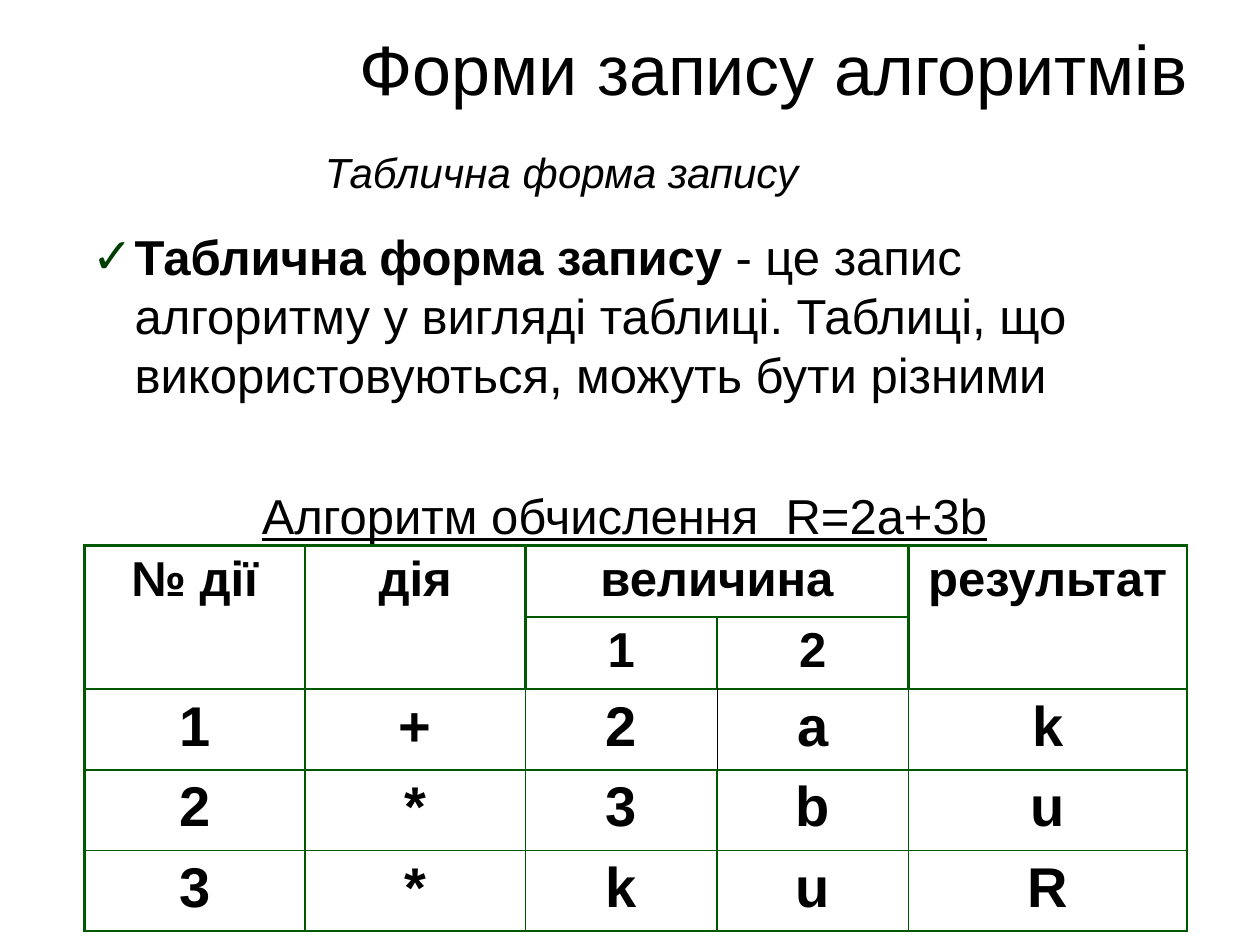
from dataclasses import dataclass

from lxml.etree import SubElement
from pptx import Presentation
from pptx.dml.color import RGBColor
from pptx.enum.text import MSO_ANCHOR, PP_ALIGN
from pptx.oxml.ns import qn
from pptx.util import Inches, Pt


@dataclass(frozen=True)
class Theme:
    """Colours, font and type sizes of the slide."""
    font: str = "Arial"
    ink: str = "000000"
    paper: str = "FFFFFF"
    rule: str = "005800"
    tick: str = "003E00"
    title: int = 40
    subtitle: int = 24
    body: int = 28
    value: int = 32
    thick: float = 1.47
    medium: float = 1.08
    hairline: float = 0.45


THEME = Theme()
COLUMNS = (1.75, 1.75, 1.52, 1.52, 2.21)
ROWS = (0.57, 0.57, 0.64, 0.64, 0.64)
HEADER_ROWS = 2
CELLS = (
    ("№ дії", "дія", "величина", "", "результат"),
    ("", "", "1", "2", ""),
    ("1", "+", "2", "a", "k"),
    ("2", "*", "3", "b", "u"),
    ("3", "*", "k", "u", "R"),
)
MERGES = ((0, 0, 1, 0), (0, 1, 1, 1), (0, 2, 0, 3), (0, 4, 1, 4))
HAIRLINE_EDGES = {(2, 2, "R"), (2, 3, "L")}


def add_span(para, text, size=THEME.body, bold=False, italic=False, underline=False):
    """Add formatted text to a paragraph."""
    span = para.add_run()
    span.text = text
    font = span.font
    font.name, font.size = THEME.font, Pt(size)
    font.bold, font.italic, font.underline = bold, italic, underline
    font.color.rgb = RGBColor.from_string(THEME.ink)


def set_paragraph(para, align=PP_ALIGN.LEFT, before=0, spacing=None):
    """Set alignment and spacing of a paragraph."""
    para.alignment = align
    para.space_before = Pt(before)
    if spacing:
        para.line_spacing = spacing


def add_bullet(para, character, margin, hang):
    """Give a paragraph a coloured bullet and a hanging indent."""
    properties = para._p.get_or_add_pPr()
    properties.set("marL", str(Inches(margin)))
    properties.set("indent", str(-Inches(hang)))
    colour = SubElement(properties, qn("a:buClr"))
    SubElement(colour, qn("a:srgbClr"), val=THEME.tick)
    SubElement(properties, qn("a:buFont"), typeface=THEME.font)
    SubElement(properties, qn("a:buChar"), char=character)


def add_frame(page, box, wrap=True):
    """Add a text box and return its text frame."""
    frame = page.shapes.add_textbox(*map(Inches, box)).text_frame
    frame.word_wrap = wrap
    return frame


def add_title(page, box):
    """Place the slide title."""
    frame = add_frame(page, box)
    frame.vertical_anchor = MSO_ANCHOR.MIDDLE
    para = frame.paragraphs[0]
    set_paragraph(para, align=PP_ALIGN.CENTER)
    add_span(para, "Форми запису алгоритмів", size=THEME.title)


def add_subtitle(page, box):
    """Place the italic subtitle."""
    para = add_frame(page, box, wrap=False).paragraphs[0]
    set_paragraph(para, before=6, spacing=1.5)
    add_span(para, "Таблична форма запису", size=THEME.subtitle, italic=True)


def add_body(page, box):
    """Place the definition and the caption of the table."""
    frame = add_frame(page, box)
    definition = frame.paragraphs[0]
    set_paragraph(definition, before=7)
    add_bullet(definition, "✓", margin=0.47, hang=0.34)
    add_span(definition, "Таблична форма запису", bold=True)
    add_span(definition, " - це запис алгоритму у вигляді таблиці. "
                         "Таблиці, що використовуються, можуть бути різними")
    caption = frame.add_paragraph()
    set_paragraph(caption, align=PP_ALIGN.CENTER, before=47)
    add_span(caption, "Алгоритм обчислення  R=2a+3b", underline=True)


def edge_style(row, column, side):
    """Return the colour and width of one cell edge."""
    if (row, column, side) in HAIRLINE_EDGES:
        return THEME.ink, THEME.hairline
    outer = {
        "L": column == 0,
        "R": column == len(COLUMNS) - 1,
        "T": row == HEADER_ROWS,
        "B": row == len(ROWS) - 1,
    }
    thick = row < HEADER_ROWS or outer[side]
    return THEME.rule, THEME.thick if thick else THEME.medium


def format_cell(cell, row, column):
    """Draw the borders of a cell and fill in its text."""
    properties = cell._tc.get_or_add_tcPr()
    for side in "LRTB":
        colour, width = edge_style(row, column, side)
        line = SubElement(properties, qn(f"a:ln{side}"), w=str(Pt(width)))
        fill = SubElement(line, qn("a:solidFill"))
        SubElement(fill, qn("a:srgbClr"), val=colour)
    cell.fill.background()
    cell.margin_left = cell.margin_right = Inches(0.1)
    cell.margin_top = cell.margin_bottom = Inches(0.05)
    text = CELLS[row][column]
    if text:
        header = row < HEADER_ROWS
        para = cell.text_frame.paragraphs[0]
        set_paragraph(para, align=PP_ALIGN.CENTER, before=7 if header else 8)
        add_span(para, text, size=THEME.body if header else THEME.value, bold=True)


def add_steps_table(page, box):
    """Place the table of calculation steps."""
    frame = page.shapes.add_table(len(ROWS), len(COLUMNS), *map(Inches, box))
    table = frame.table
    table.first_row = table.horz_banding = False
    for column, width in zip(table.columns, COLUMNS):
        column.width = Inches(width)
    for row, height in zip(table.rows, ROWS):
        row.height = Inches(height)
    for top, left, bottom, right in MERGES:
        table.cell(top, left).merge(table.cell(bottom, right))
    for row in range(len(ROWS)):
        for column in range(len(COLUMNS)):
            format_cell(table.cell(row, column), row, column)


def main():
    """Build and save the slide."""
    deck = Presentation()
    deck.slide_width, deck.slide_height = Inches(10), Inches(7.5)
    page = deck.slides.add_slide(deck.slide_layouts[6])
    page.background.fill.solid()
    page.background.fill.fore_color.rgb = RGBColor.from_string(THEME.paper)
    add_title(page, (2.48, 0, 7.32, 1.07))
    add_body(page, (0.5, 1.75, 8.91, 4.95))
    add_subtitle(page, (2.48, 0.91, 3.98, 0.7))
    add_steps_table(page, (0.67, 4.33, sum(COLUMNS), sum(ROWS)))
    deck.save("out.pptx")


if __name__ == "__main__":
    main()
